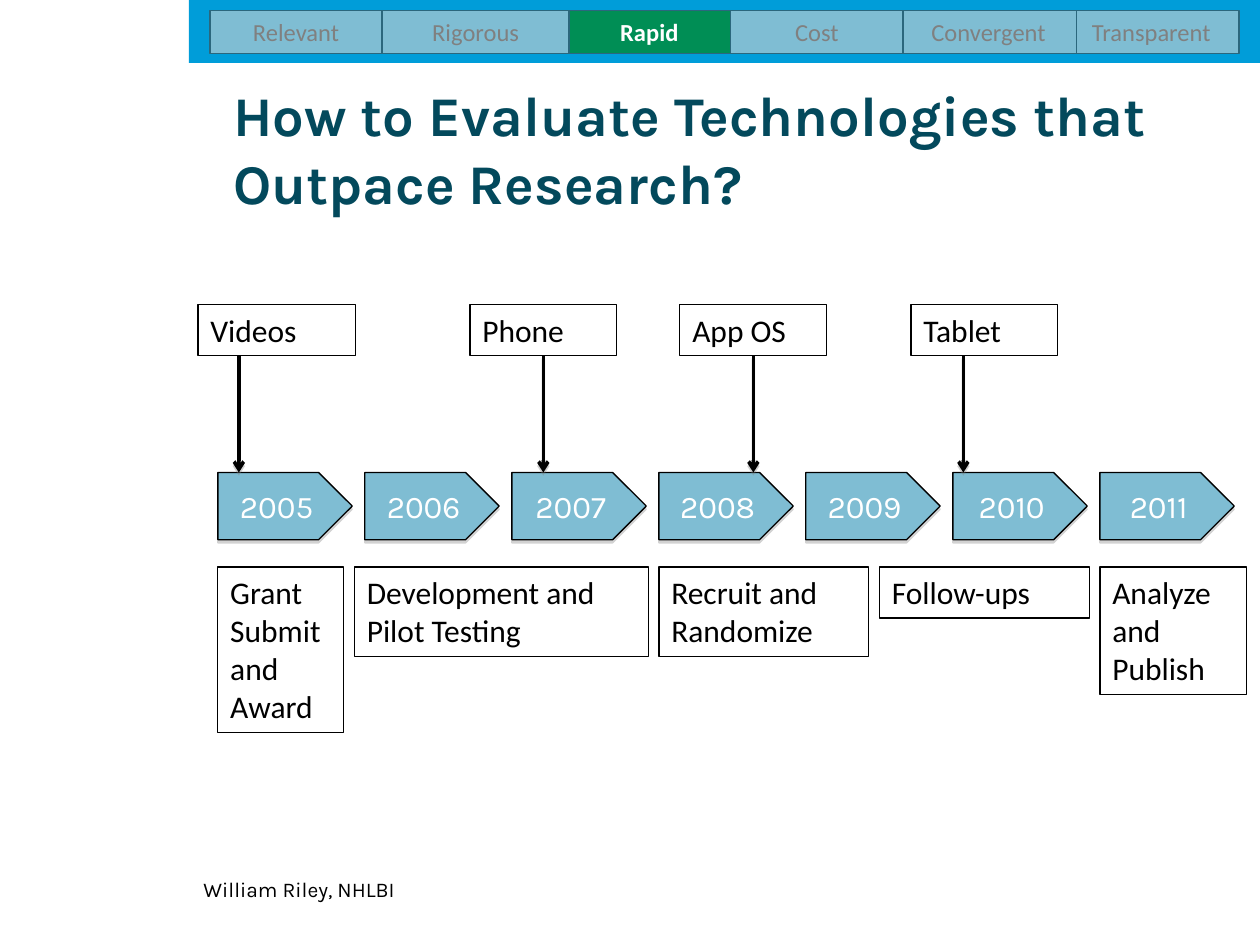
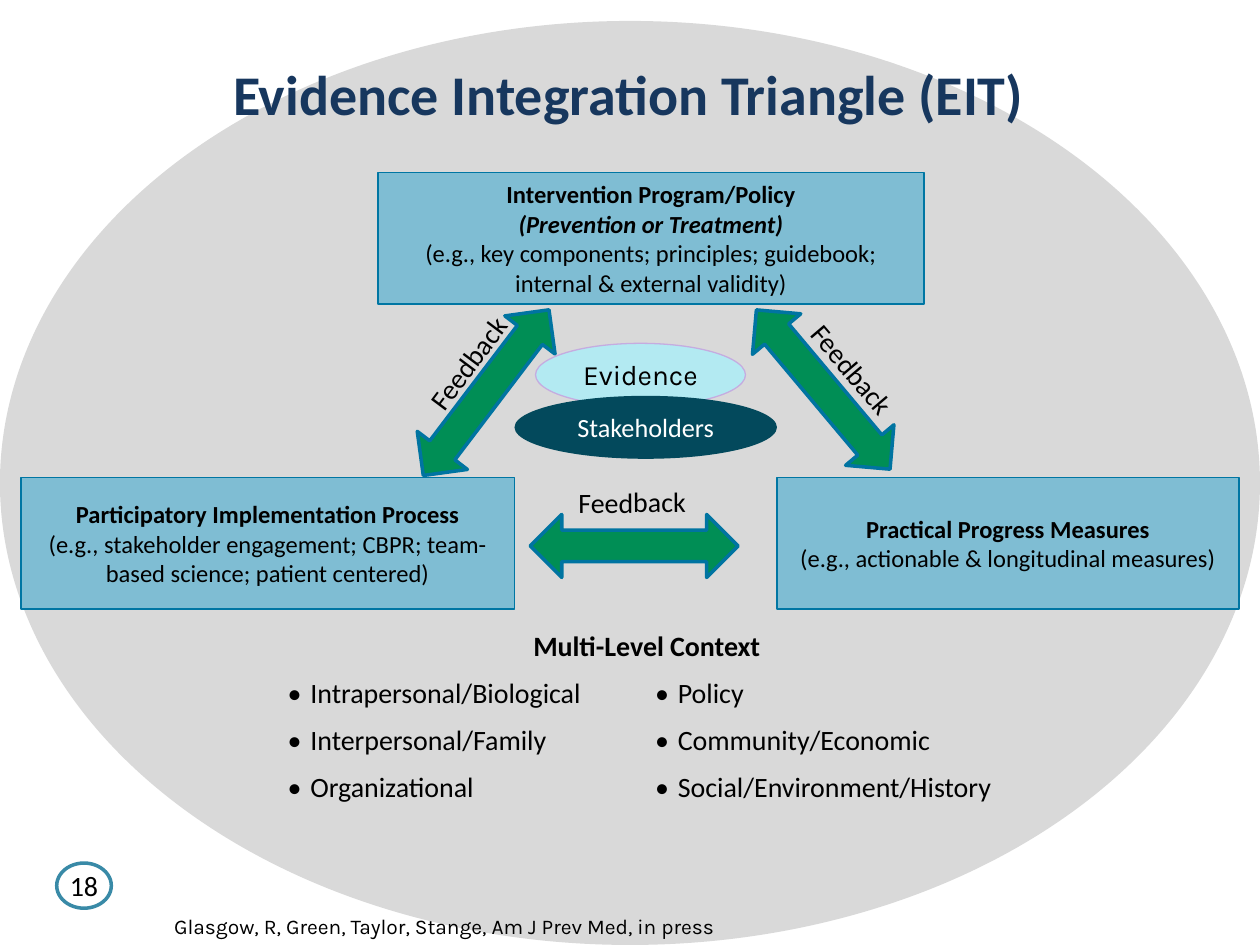
from dataclasses import dataclass

from lxml import etree
from pptx import Presentation
from pptx import util as u
from pptx.dml.color import RGBColor
from pptx.enum import shapes, text
from pptx.oxml.ns import qn


@dataclass(frozen=True)
class Theme:
    band: str = "009DD9"
    panel: str = "7FBDD3"
    green: str = "008E55"
    teal: str = "03495C"
    navy: str = "17375E"
    pale: str = "B3EAF2"
    lilac: str = "C5ACE0"
    oval: str = "D9D9D9"
    grey: str = "808080"
    tab_edge: str = "2B677D"
    panel_edge: str = "0076A3"
    arrow_edge: str = "0074A1"
    badge_edge: str = "398AA7"
    black: str = "000000"
    white: str = "FFFFFF"
    sans: str = "Calibri"
    display: str = "Karla"
    title: int = 32
    timeline: int = 18
    label: int = 16
    hub: int = 15
    small: int = 14
    note: int = 12


theme = Theme()
SHAPE = shapes.MSO_SHAPE
LEFT, CENTER = text.PP_ALIGN.LEFT, text.PP_ALIGN.CENTER
TOP, MIDDLE = text.MSO_ANCHOR.TOP, text.MSO_ANCHOR.MIDDLE

deck = Presentation()
deck.slide_width, deck.slide_height = u.Inches(10), u.Inches(7.5)
cell = deck.slide_width / 120  # the slide is a grid of 120 columns by 90 rows


def place(page, kind, *grid, fill=None, line=None, weight=0.75):
    """Put a shape, or a text box when kind is None, at left, top, width, height in cells."""
    area = [u.Emu(int(value * cell)) for value in grid]
    box = page.shapes.add_shape(kind, *area) if kind else page.shapes.add_textbox(*area)
    if kind:
        box.shadow.inherit = False
    if fill:
        box.fill.solid()
        box.fill.fore_color.rgb = RGBColor.from_string(fill)
    else:
        box.fill.background()
    if line:
        box.line.color.rgb = RGBColor.from_string(line)
        box.line.width = u.Pt(weight)
    else:
        box.line.fill.background()
    return box


def write(frame, words, size, color=theme.black, font=theme.sans, bold=False,
          align=LEFT, anchor=TOP):
    frame.text = words
    frame.word_wrap = True
    frame.auto_size = text.MSO_AUTO_SIZE.NONE
    frame.vertical_anchor = anchor
    for para in frame.paragraphs:
        para.alignment = align
        for span in para.runs:
            span.font.size, span.font.name, span.font.bold = u.Pt(size), font, bold
            span.font.color.rgb = RGBColor.from_string(color)


# Titles and source notes of both slides
pages = []
for heading, title_top, title_font, title_color, source, note_left, note_top in (
    ("How to Evaluate Technologies that Outpace Research?", 6.6, theme.display, theme.teal,
     "William Riley, NHLBI", 18.2, 82.9),
    ("Evidence Integration Triangle (EIT)", 1.4, theme.sans, theme.navy,
     "Glasgow, R, Green, Taylor, Stange, Am J Prev Med, in press", 15.4, 86.4),
):
    page = deck.slides.add_slide(deck.slide_layouts[5])
    title = page.shapes.title
    title.left, title.top, title.width, title.height = (
        u.Emu(int(value * cell)) for value in (21, title_top, 96, 15))
    write(title.text_frame, heading, theme.title, title_color, title_font, True, anchor=MIDDLE)
    note = place(page, None, note_left, note_top, 91.2, 3.6)
    write(note.text_frame, source, theme.note, font=theme.display)
    pages.append(page)
timeline, triangle = pages

# Slide 1: section tabs, the later ones lying underneath
place(timeline, SHAPE.RECTANGLE, 18, 0, 102, 6, fill=theme.band)
tabs = (("Relevant", 20, 16.4), ("Rigorous", 36.4, 17.8), ("Rapid", 54.1, 15.5),
        ("Cost", 69.6, 16.4), ("Convergent", 85.8, 16.7), ("Transparent", 101.3, 16.7))
for name, left, width in reversed(tabs):
    current = name == "Rapid"
    tab = place(timeline, SHAPE.RECTANGLE, left, 1, width, 4.1,
                fill=theme.green if current else theme.panel, line=theme.tab_edge)
    write(tab.text_frame, name, theme.small, theme.white if current else theme.grey,
          bold=current, align=CENTER)

# Years and, below them, the steps of a study
first_column, year_pitch, year_top = 20.75, 14, 45
shaded = []
for index in range(7):
    year = place(timeline, SHAPE.PENTAGON, first_column + index * year_pitch, year_top,
                 12.8, 6.4, fill=theme.panel, line=theme.black)
    write(year.text_frame, str(2005 + index), theme.timeline, theme.white, theme.display,
          align=CENTER, anchor=MIDDLE)
    shaded.append(year)

for name, left, width, line_count in (
    ("Grant Submit and Award", first_column, 12, 4),
    ("Development and Pilot Testing", 33.75, 28, 2),
    ("Recruit and Randomize", first_column + 3 * year_pitch, 20, 2),
    ("Follow-ups", 83.75, 20, 1),
    ("Analyze and Publish", first_column + 6 * year_pitch, 14, 3),
):
    step = place(timeline, SHAPE.RECTANGLE, left, 54, width, 1.2 + 3.65 * line_count,
                 line=theme.black)
    write(step.text_frame, name, theme.timeline)

# Technology releases, each with an arrow to its year
for name, left, width, arrow_left in (
    ("Videos", 18.85, 15, 22.75), ("Phone", 44.75, 14, 51.75),
    ("App OS", 64.75, 14, 71.75), ("Tablet", 86.75, 14, 91.75),
):
    release = place(timeline, SHAPE.RECTANGLE, left, 29, width, 4.85, line=theme.black)
    write(release.text_frame, name, theme.timeline)
    x = u.Emu(int(arrow_left * cell))
    arrow = timeline.shapes.add_connector(
        shapes.MSO_CONNECTOR.STRAIGHT, x, release.top + release.height,
        x, u.Emu(int(year_top * cell)))
    if abs(left + width / 2 - arrow_left) < 0.1:
        arrow.begin_connect(release, 2)
    arrow.line.color.rgb = RGBColor.from_string(theme.black)
    arrow.line.width = u.Pt(2)
    etree.SubElement(arrow.line._get_or_add_ln(), qn("a:tailEnd"), type="arrow")
    etree.SubElement(arrow.element.spPr, qn("a:effectLst"))
    shaded.append(arrow)

for item in shaded:
    effects = item.element.spPr.find(qn("a:effectLst"))
    shadow = etree.SubElement(effects, qn("a:outerShdw"), blurRad="0", dist=str(u.Pt(1.8)),
                              dir="5400000", rotWithShape="0")
    tint = etree.SubElement(shadow, qn("a:srgbClr"), val=theme.grey)
    etree.SubElement(tint, qn("a:alpha"), val="35000")

# Slide 2: context oval behind everything
oval = place(triangle, SHAPE.OVAL, 0, 2, 120, 88, fill=theme.oval)
triangle.shapes.title.element.addprevious(oval.element)

# Corners of the triangle: bold headings, plain last paragraph
for words, *grid in (
    ("Participatory Implementation Process\n"
     "(e.g., stakeholder engagement; CBPR; team-based science; patient centered)",
     2, 45.5, 47, 12.5),
    ("Practical Progress Measures\n(e.g., actionable & longitudinal measures)",
     74, 45.5, 44, 12.5),
    ("Intervention Program/Policy\n(Prevention or Treatment)\n"
     "(e.g., key components; principles; guidebook; internal & external validity)",
     36, 16.45, 52, 12.5),
):
    corner = place(triangle, SHAPE.RECTANGLE, *grid, fill=theme.panel, line=theme.panel_edge)
    write(corner.text_frame, words, theme.small, align=CENTER, anchor=MIDDLE)
    for index, para in enumerate(corner.text_frame.paragraphs[:-1]):
        para.runs[0].font.bold = True
        para.runs[0].font.italic = index == 1

# Feedback arrows along the sides, with their labels
for arrow_left, arrow_top, arrow_turn, left, top, width, turn in (
    (43.3, 27.5, 37.2, 37.6, 31.1, 15.8, 306.8),
    (75.4, 27.2, 140, 74.3, 34.2, 15.8, 49.7),
    (57.4, 42.1, 90, 53.9, 45.6, 14, 359.7),
):
    arrow = place(triangle, SHAPE.UP_DOWN_ARROW, arrow_left, arrow_top, 6, 19.8,
                  fill=theme.green, line=theme.arrow_edge, weight=2)
    arrow.rotation = arrow_turn
    feedback = place(triangle, None, left, top, width, 4.4)
    feedback.rotation = turn
    write(feedback.text_frame, "Feedback", theme.label)

evidence = place(triangle, SHAPE.OVAL, 51, 32.7, 20, 6, fill=theme.pale, line=theme.lilac)
write(evidence.text_frame, "Evidence", theme.label, font=theme.display,
      align=CENTER, anchor=MIDDLE)
stakeholders = place(triangle, SHAPE.OVAL, 49, 37.7, 25, 6, fill=theme.teal)
write(stakeholders.text_frame, "Stakeholders", theme.hub, theme.white,
      align=CENTER, anchor=MIDDLE)

# Context levels
levels = (("Multi-Level Context", ""),
          ("Intrapersonal/Biological", "Policy"),
          ("Interpersonal/Family", "Community/Economic"),
          ("Organizational", "Social/Environment/History"))
row_height = 4.4
context = triangle.shapes.add_table(len(levels), 2, *(
    u.Emu(int(value * cell)) for value in (26.2, 59.4, 70.8, row_height * len(levels)))).table
context.first_row = context.horz_banding = False
NO_STYLE = "{2D5ABB26-0587-4C30-8999-92F81FD0307C}"
context._tbl.tblPr.find(qn("a:tableStyleId")).text = NO_STYLE
for column, width in zip(context.columns, (35, 35.8)):
    column.width = u.Emu(int(width * cell))
context.cell(0, 0).merge(context.cell(0, 1))
for row, names in enumerate(levels):
    for column, name in enumerate(names):
        entry = context.cell(row, column)
        entry.fill.background()
        if not name:
            continue
        para = entry.text_frame.paragraphs[0]
        para.text = name
        if row:
            indent = u.Inches(0.18)
            props = para._p.get_or_add_pPr()
            props.set("marL", str(indent))
            props.set("indent", str(-indent))
            etree.SubElement(props, qn("a:buFont"), typeface=theme.sans)
            etree.SubElement(props, qn("a:buChar"), char="•")
        else:
            para.alignment = CENTER
        span = para.runs[0]
        span.font.size, span.font.name, span.font.bold = u.Pt(theme.label), theme.sans, row == 0
        span.font.color.rgb = RGBColor.from_string(theme.black)

# Page number
badge = place(triangle, SHAPE.OVAL, 5.4, 82.2, 5.2, 4.3,
              fill=theme.white, line=theme.badge_edge, weight=2)
write(badge.text_frame, "18", theme.label, align=CENTER, anchor=MIDDLE)
frame = badge.text_frame
frame.margin_left = frame.margin_right = frame.margin_top = frame.margin_bottom = 0

deck.save("out.pptx")
